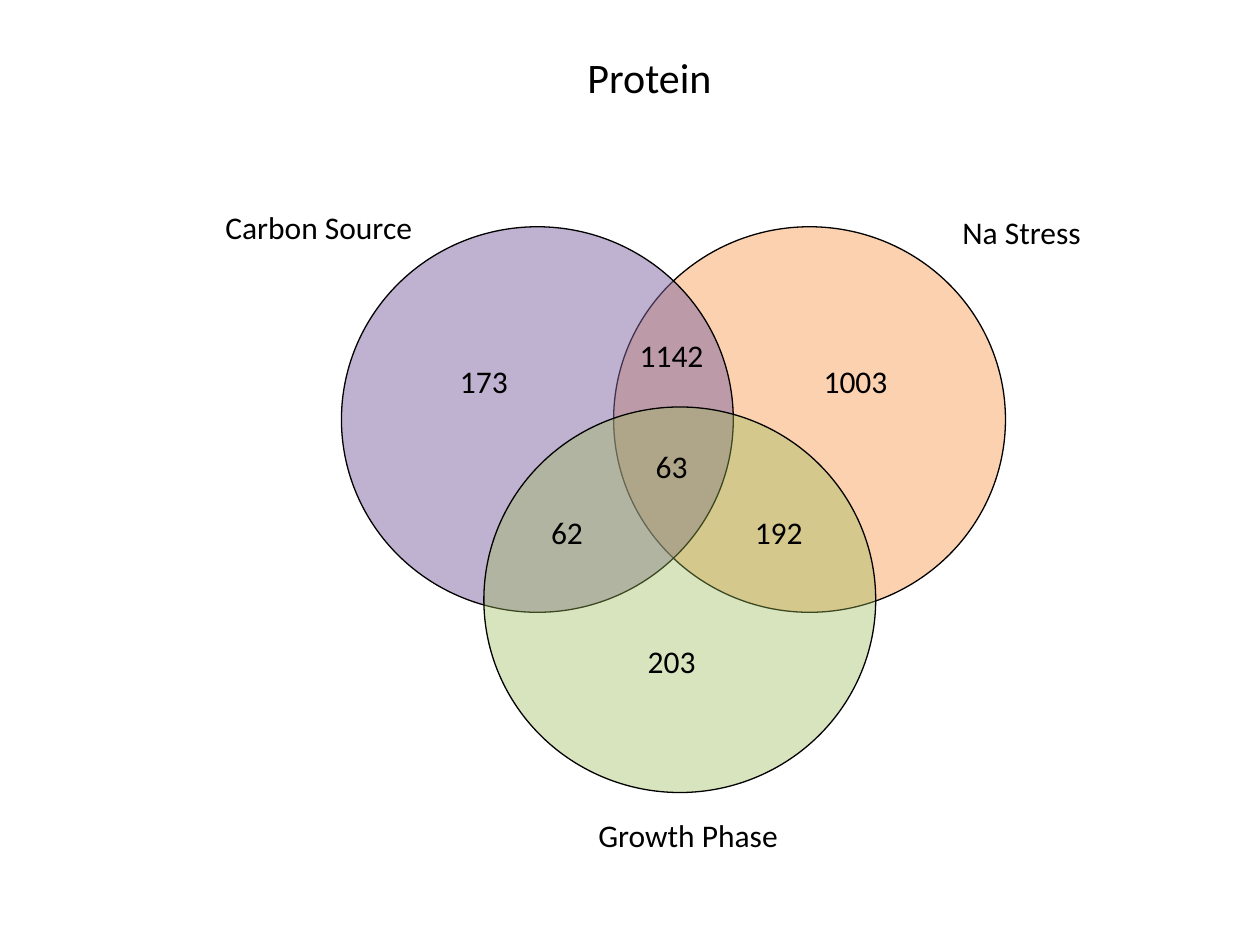
from dataclasses import dataclass

from lxml import etree
from pptx import Presentation, util as u
from pptx.dml.color import RGBColor
from pptx.enum import shapes, text
from pptx.oxml import ns

COLORS = {
    "ink": "000000",
    "stress": "F79646",
    "carbon": "8064A2",
    "growth": "9BBB59",
}
SLIDE_WIDTH, SLIDE_HEIGHT = u.Inches(10), u.Inches(7.5)

# All lengths below are percentages of the slide's width or height.
CIRCLE_WIDTH, CIRCLE_HEIGHT = 31.1, 40.8
COUNT_WIDTH, TEXT_HEIGHT = 9.8, 5.33
UPPER_ROW, LOWER_ROW = 24, 43.07
CENTRE = 48.4


@dataclass(frozen=True)
class Circle:
    color: str
    left: float
    top: float
    opacity: int


@dataclass(frozen=True)
class Label:
    words: str
    left: float
    top: float
    width: float = COUNT_WIDTH
    centred: bool = True


CIRCLES = [
    Circle("stress", 48.7, UPPER_ROW, 43),
    Circle("carbon", 27.1, UPPER_ROW, 50),
    Circle("growth", 38.4, LOWER_ROW, 39),
]
LABELS = [
    Label("173", 33.5, 37.6),
    Label("1142", CENTRE, 34.93),
    Label("1003", 63, 37.6),
    Label("62", 40.1, 53.6),
    Label("63", CENTRE, 46.67),
    Label("192", 56.9, 53.6),
    Label("203", CENTRE, 67.33),
    Label("Carbon Source", 16.9, 21.33, 17, centred=False),
    Label("Na Stress", 75.4, 21.87, 11.6, centred=False),
    Label("Growth Phase", 46.5, 85.73, 16.5, centred=False),
]


def across(share: float) -> int:
    return round(SLIDE_WIDTH * share / 100)


def down(share: float) -> int:
    return round(SLIDE_HEIGHT * share / 100)


def color(name: str) -> RGBColor:
    return RGBColor.from_string(COLORS[name])


def write(frame, words: str, size: int, centred: bool, wrap: bool) -> None:
    frame_format = {
        "word_wrap": wrap,
        "auto_size": text.MSO_AUTO_SIZE.SHAPE_TO_FIT_TEXT,
        "vertical_anchor": text.MSO_ANCHOR.TOP,
    }
    for name, value in frame_format.items():
        setattr(frame, name, value)
    para = frame.paragraphs[0]
    para.alignment = text.PP_ALIGN.CENTER if centred else text.PP_ALIGN.LEFT
    span = para.add_run()
    span.text = words
    for name, value in {"name": "Calibri", "size": u.Pt(size)}.items():
        setattr(span.font, name, value)
    span.font.color.rgb = color("ink")


def draw_circle(group, circle: Circle) -> None:
    oval = group.shapes.add_shape(
        shapes.MSO_SHAPE.OVAL, across(circle.left), down(circle.top),
        across(CIRCLE_WIDTH), down(CIRCLE_HEIGHT))
    oval.shadow.inherit = False
    oval.fill.solid()
    oval.fill.fore_color.rgb = color(circle.color)
    fill_color = oval.fill._xPr.find(ns.qn("a:solidFill"))[0]
    etree.SubElement(fill_color, ns.qn("a:alpha"), val=str(circle.opacity * 1000))
    oval.line.color.rgb = color("ink")
    oval.line.width = u.Pt(0.75)


def draw_label(group, label: Label) -> None:
    box = group.shapes.add_textbox(
        across(label.left), down(label.top), across(label.width), down(TEXT_HEIGHT))
    write(box.text_frame, label.words, 18, label.centred, wrap=label.centred)


def place_title(page, words: str) -> None:
    title = page.shapes.title
    position = {"left": across(13.1), "top": down(4.8),
                "width": across(76.9), "height": down(6.67)}
    for name, value in position.items():
        setattr(title, name, value)
    write(title.text_frame, words, 24, centred=True, wrap=True)


def main() -> None:
    deck = Presentation()
    deck.slide_width, deck.slide_height = SLIDE_WIDTH, SLIDE_HEIGHT
    page = deck.slides.add_slide(deck.slide_layouts.get_by_name("Title Only"))
    place_title(page, "Protein")
    venn = page.shapes.add_group_shape()
    for circle in CIRCLES:
        draw_circle(venn, circle)
    for label in LABELS:
        draw_label(venn, label)
    deck.save("out.pptx")


if __name__ == "__main__":
    main()
